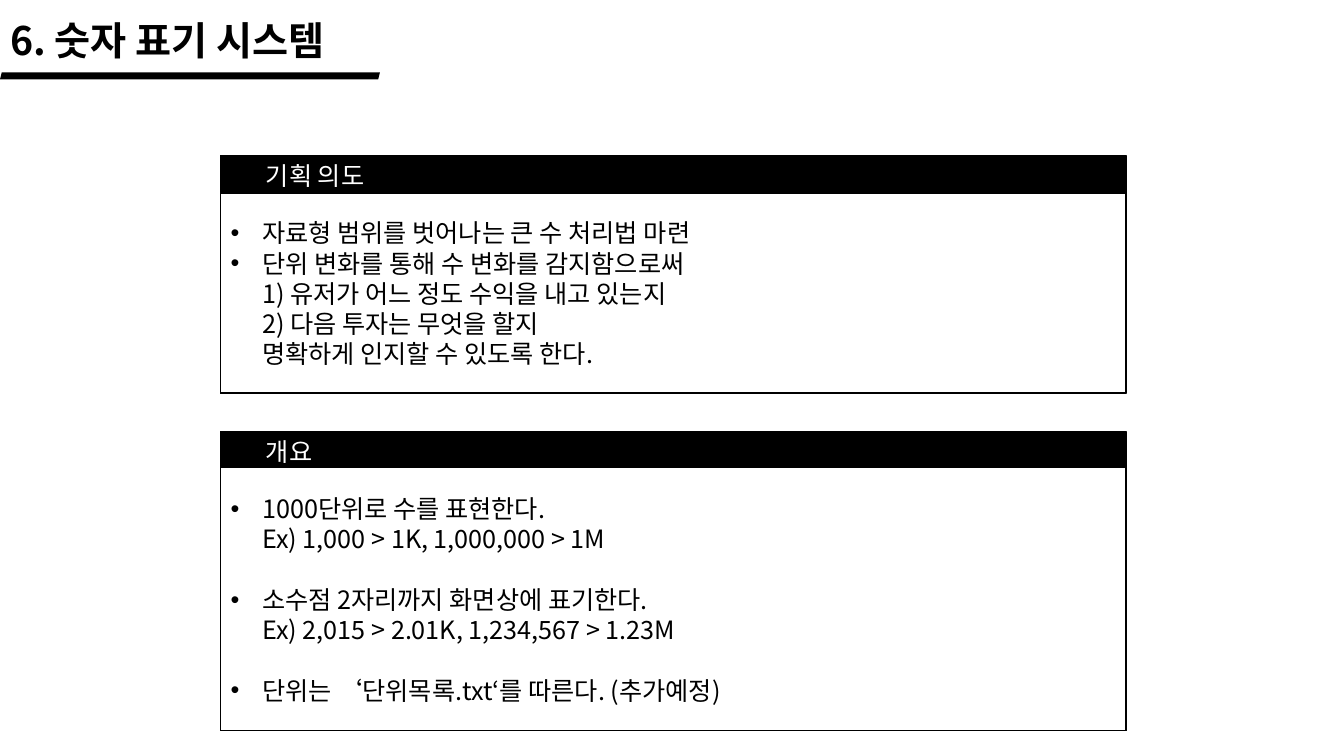
from dataclasses import dataclass

from lxml.etree import SubElement
from pptx import Presentation
from pptx.dml.color import RGBColor
from pptx.enum.shapes import MSO_SHAPE
from pptx.enum.text import MSO_ANCHOR, MSO_AUTO_SIZE, PP_ALIGN
from pptx.oxml.ns import qn
from pptx.util import Pt

FONT = "Noto Sans CJK KR"
BLACK, WHITE = "000000", "FFFFFF"
LINE_FACTOR = 1.2
BODY_SIZE = 18
BULLET_INDENT = 22.5
PANEL_LEFT, PANEL_WIDTH = 157.7, 646.5
HEADING_LEFT, HEADING_WIDTH = 182.9, 594.7


@dataclass
class Panel:
    heading: str
    items: list[str]
    top: float
    height: float
    header_height: float
    item_gap: float = 0


PANELS = [
    Panel(
        "기획 의도",
        [
            "자료형 범위를 벗어나는 큰 수 처리법 마련",
            "단위 변화를 통해 수 변화를 감지함으로써\n"
            "1) 유저가 어느 정도 수익을 내고 있는지\n"
            "2) 다음 투자는 무엇을 할지\n"
            "명확하게 인지할 수 있도록 한다.",
        ],
        top=110.9, height=169.9, header_height=27.4,
    ),
    Panel(
        "개요",
        [
            "1000단위로 수를 표현한다.\nEx) 1,000 > 1K, 1,000,000 > 1M",
            "소수점 2자리까지 화면상에 표기한다.\nEx) 2,015 > 2.01K, 1,234,567 > 1.23M",
            "단위는 ‘단위목록.txt‘를 따른다. (추가예정)",
        ],
        top=308.2, height=213.8, header_height=25.9,
        item_gap=BODY_SIZE * LINE_FACTOR,
    ),
]


def color(value: str) -> RGBColor:
    return RGBColor.from_string(value)


def write_text(frame, items: list[str], *, size: float = BODY_SIZE, fill: str = BLACK,
               bold: bool = False, bullets: bool = False, gap: float = 0,
               anchor=MSO_ANCHOR.TOP) -> None:
    frame.word_wrap = True
    frame.auto_size = MSO_AUTO_SIZE.NONE
    frame.vertical_anchor = anchor
    for index, item in enumerate(items):
        paragraph = frame.paragraphs[0] if index == 0 else frame.add_paragraph()
        paragraph.text = item
        paragraph.alignment = PP_ALIGN.LEFT
        paragraph.line_spacing = Pt(size * LINE_FACTOR)
        paragraph.space_before = Pt(gap if index else 0)
        for run in paragraph.runs:
            run.font.name = FONT
            run.font.size = Pt(size)
            run.font.bold = bold
            run.font.color.rgb = color(fill)
            SubElement(run.font._element, qn("a:ea"), typeface=FONT)
        if bullets:
            properties = paragraph._p.get_or_add_pPr()
            properties.set("marL", str(Pt(BULLET_INDENT)))
            properties.set("indent", str(-Pt(BULLET_INDENT)))
            SubElement(properties, qn("a:buFont"), typeface="Arial")
            SubElement(properties, qn("a:buChar"), char="•")


def add_block(slide, kind, left: float, top: float, width: float, height: float, *,
              fill: str, outlined: bool = True):
    shape = slide.shapes.add_shape(kind, Pt(left), Pt(top), Pt(width), Pt(height))
    shape.shadow.inherit = False
    shape.fill.solid()
    shape.fill.fore_color.rgb = color(fill)
    if outlined:
        shape.line.color.rgb = color(BLACK)
        shape.line.width = Pt(1)
    else:
        shape.line.fill.background()
    return shape


def add_panel(slide, panel: Panel) -> None:
    add_block(slide, MSO_SHAPE.RECTANGLE, PANEL_LEFT, panel.top,
              PANEL_WIDTH, panel.height, fill=BLACK)
    body = add_block(slide, MSO_SHAPE.RECTANGLE, PANEL_LEFT, panel.top + panel.header_height,
                     PANEL_WIDTH, panel.height - panel.header_height, fill=WHITE)
    write_text(body.text_frame, panel.items, bullets=True, gap=panel.item_gap,
               anchor=MSO_ANCHOR.MIDDLE)
    heading = slide.shapes.add_textbox(Pt(HEADING_LEFT), Pt(panel.top),
                                       Pt(HEADING_WIDTH), Pt(panel.header_height))
    write_text(heading.text_frame, [panel.heading], fill=WHITE)


def main() -> None:
    presentation = Presentation()
    presentation.slide_width, presentation.slide_height = Pt(960), Pt(540)
    slide = presentation.slides.add_slide(presentation.slide_layouts[5])

    # Title and its underline
    title = slide.shapes.title
    title.left, title.top, title.width, title.height = Pt(0), Pt(7.9), Pt(289.4), Pt(41)
    write_text(title.text_frame, ["6. 숫자 표기 시스템"], size=28, bold=True)
    add_block(slide, MSO_SHAPE.PARALLELOGRAM, 0, 51.8, 271.4, 5, fill=BLACK, outlined=False)

    # Panels
    for panel in PANELS:
        add_panel(slide, panel)

    presentation.save("out.pptx")


if __name__ == "__main__":
    main()
